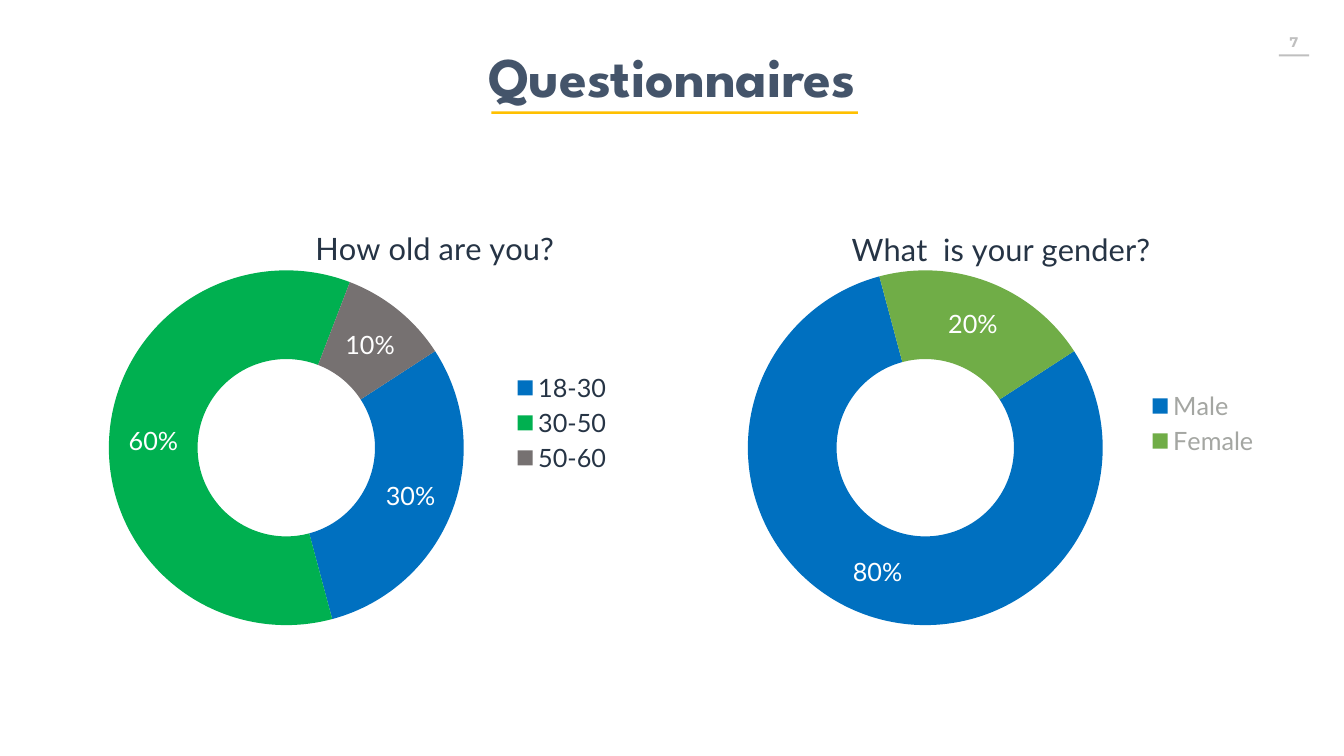
"""Build the questionnaire results slide with two doughnut charts."""
from dataclasses import dataclass
from typing import NamedTuple

from lxml import etree
from pptx import Presentation
from pptx.chart.data import CategoryChartData
from pptx.dml.color import RGBColor
from pptx.enum.chart import XL_CHART_TYPE, XL_LEGEND_POSITION
from pptx.enum.shapes import MSO_SHAPE
from pptx.enum.text import PP_ALIGN
from pptx.oxml.ns import qn
from pptx.util import Inches, Pt

DOUGHNUT = XL_CHART_TYPE.DOUGHNUT
RIGHT = XL_LEGEND_POSITION.RIGHT
RECTANGLE = MSO_SHAPE.RECTANGLE
CENTER = PP_ALIGN.CENTER
SLIDE_WIDTH, SLIDE_HEIGHT = Inches(26.66), Inches(15)
CHART_TOP, CHART_WIDTH, CHART_HEIGHT = 27.73, 41.07, 55.8
RING_TOP, RING_WIDTH, RING_HEIGHT = 14.4, 64.3, 84.1
FIRST_ANGLE, HOLE_SIZE = 57, 59


class TextStyle(NamedTuple):
    font: str
    size: int
    color: str
    bold: bool = False


@dataclass(frozen=True)
class Theme:
    heading: TextStyle = TextStyle("League Spartan", 80, "44546A", True)
    page_number: TextStyle = TextStyle("Montserrat", 20, "BFBFBF", True)
    question: TextStyle = TextStyle("Lato", 44, "263445")
    share: TextStyle = TextStyle("Lato", 36, "FFFFFF")
    dark_legend: TextStyle = TextStyle("Lato", 36, "263445")
    pale_legend: TextStyle = TextStyle("Lato", 36, "A4A6A2")
    accent: str = "FFC000"
    blue: str = "0070C0"
    emerald: str = "00B050"
    gray: str = "767171"
    green: str = "70AD47"


class Area(NamedTuple):
    """Percentages of the slide's width and height."""
    left: float
    top: float
    width: float
    height: float

    def lengths(self) -> list[int]:
        sides = (SLIDE_WIDTH, SLIDE_HEIGHT) * 2
        return [round(side * share / 100) for side, share in zip(sides, self)]


class Answer(NamedTuple):
    label: str
    share: float
    color: str


@dataclass(frozen=True)
class Survey:
    """A question with its answers; places are percentages of the chart."""
    question: str
    answers: tuple[Answer, ...]
    left: float
    ring_left: float
    question_at: tuple[float, float]
    legend_at: tuple[float, float]
    legend_style: TextStyle


THEME = Theme()
SURVEYS = (
    Survey("How old are you?",
           (Answer("18-30", 0.3, THEME.blue),
            Answer("30-50", 0.6, THEME.emerald),
            Answer("50-60", 0.1, THEME.gray)),
           4.69, 8.3, (44.7, 2.7), (81, 37.5), THEME.dark_legend),
    Survey("What  is your gender?",
           (Answer("Male", 0.8, THEME.blue),
            Answer("Female", 0.2, THEME.green)),
           52.85, 6.8, (24.6, 2.8), (78.8, 41.8), THEME.pale_legend),
)


def style_font(font, style: TextStyle) -> None:
    values = {"name": style.font, "size": Pt(style.size), "bold": style.bold}
    for attribute, value in values.items():
        setattr(font, attribute, value)
    font.color.rgb = RGBColor.from_string(style.color)


def add_text(slide, area: Area, text: str, style: TextStyle, wrap: bool) -> None:
    frame = slide.shapes.add_textbox(*area.lengths()).text_frame
    frame.word_wrap = wrap
    paragraph = frame.paragraphs[0]
    paragraph.text, paragraph.alignment = text, CENTER
    style_font(paragraph.runs[0].font, style)


def add_rule(slide, area: Area, color: str) -> None:
    rule = slide.shapes.add_shape(RECTANGLE, *area.lengths())
    rule.shadow.inherit = False
    rule.fill.solid()
    rule.fill.fore_color.rgb = RGBColor.from_string(color)
    rule.line.fill.background()


def place(part, index: int, **shares: float) -> None:
    """Give a chart part a manual layout as its child at the index."""
    for old in part.findall(qn("c:layout")):
        part.remove(old)
    layout = etree.Element(qn("c:layout"))
    manual = etree.SubElement(layout, qn("c:manualLayout"))
    settings = {"xMode": "edge", "yMode": "edge"}
    if "w" in shares:
        settings = {"layoutTarget": "inner", **settings}
    settings |= {key: f"{share / 100:.3f}" for key, share in shares.items()}
    for tag, value in settings.items():
        etree.SubElement(manual, qn(f"c:{tag}")).set("val", value)
    part.insert(index, layout)


def add_survey(slide, survey: Survey) -> None:
    data = CategoryChartData(number_format="0%")
    data.categories = [answer.label for answer in survey.answers]
    data.add_series("Series 1", [answer.share for answer in survey.answers])
    area = Area(survey.left, CHART_TOP, CHART_WIDTH, CHART_HEIGHT)
    chart = slide.shapes.add_chart(DOUGHNUT, *area.lengths(), data).chart
    style_font(chart.font, survey.legend_style)

    chart.has_title = True
    question = chart.chart_title.text_frame.paragraphs[0]
    question.text = survey.question
    style_font(question.runs[0].font, THEME.question)

    chart.has_legend = True
    legend = chart.legend
    legend.position, legend.include_in_layout = RIGHT, False
    style_font(legend.font, survey.legend_style)

    ring = chart.plots[0]
    ring.vary_by_categories = True
    for tag, value in {"firstSliceAng": FIRST_ANGLE, "holeSize": HOLE_SIZE}.items():
        ring._element.find(qn(f"c:{tag}")).set("val", str(value))
    for index, answer in enumerate(survey.answers):
        fill = ring.series[0].points[index].format.fill
        fill.solid()
        fill.fore_color.rgb = RGBColor.from_string(answer.color)
    labels = ring.series[0].data_labels
    label_format = {"show_value": True, "show_percentage": False,
                    "number_format": "0%", "number_format_is_linked": False}
    for attribute, value in label_format.items():
        setattr(labels, attribute, value)
    style_font(labels.font, THEME.share)

    question_x, question_y = survey.question_at
    legend_x, legend_y = survey.legend_at
    place(chart.chart_title._element, 1, x=question_x, y=question_y)
    place(legend._element, 1, x=legend_x, y=legend_y)
    place(ring._element.getparent(), 0, x=survey.ring_left, y=RING_TOP,
          w=RING_WIDTH, h=RING_HEIGHT)


def main() -> None:
    presentation = Presentation()
    presentation.slide_width, presentation.slide_height = SLIDE_WIDTH, SLIDE_HEIGHT
    slide = presentation.slides.add_slide(presentation.slide_layouts[6])
    add_text(slide, Area(94.78, 4.13, 3, 3.6), "7", THEME.page_number, False)
    add_rule(slide, Area(95.16, 7.2, 2.25, 0.27), THEME.page_number.color)
    for survey in SURVEYS:
        add_survey(slide, survey)
    add_text(slide, Area(0, 5.2, 100, 9.67), "Questionnaires", THEME.heading, True)
    add_rule(slide, Area(36.57, 14.73, 27.27, 0.33), THEME.accent)
    presentation.save("out.pptx")


if __name__ == "__main__":
    main()
